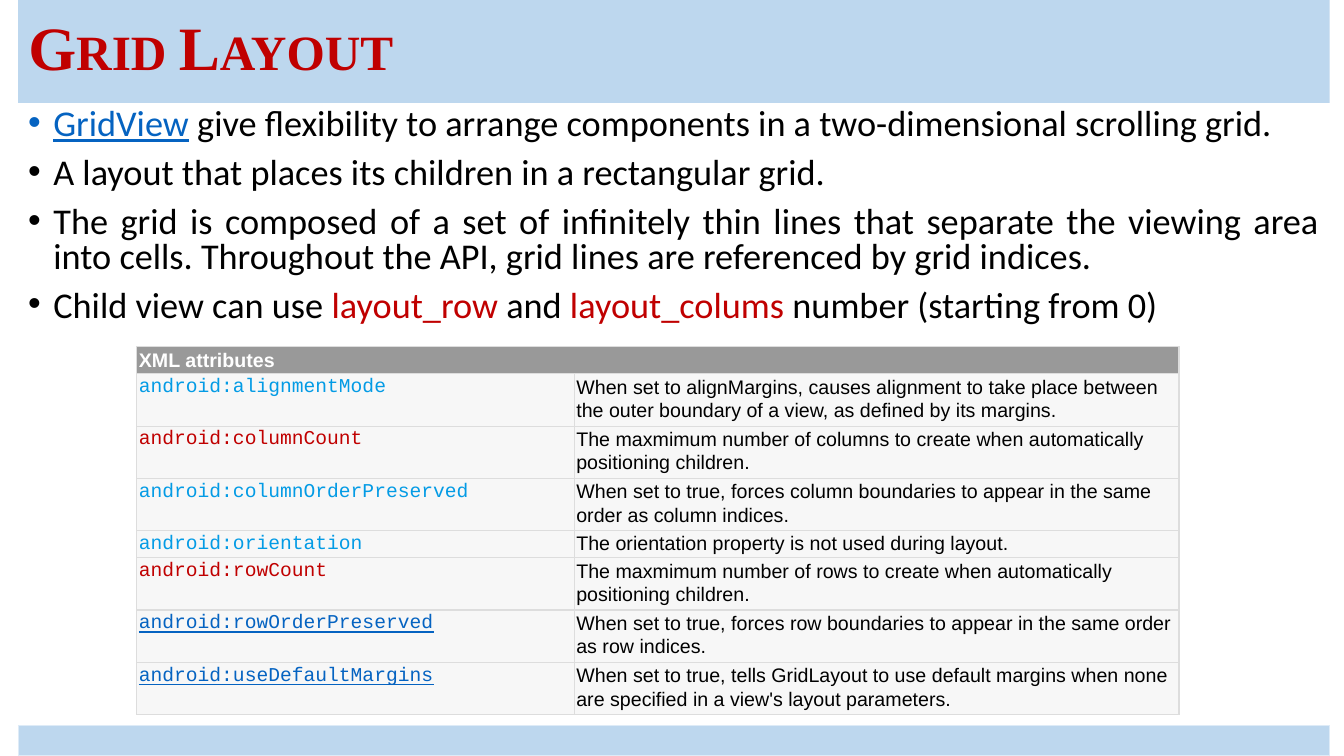
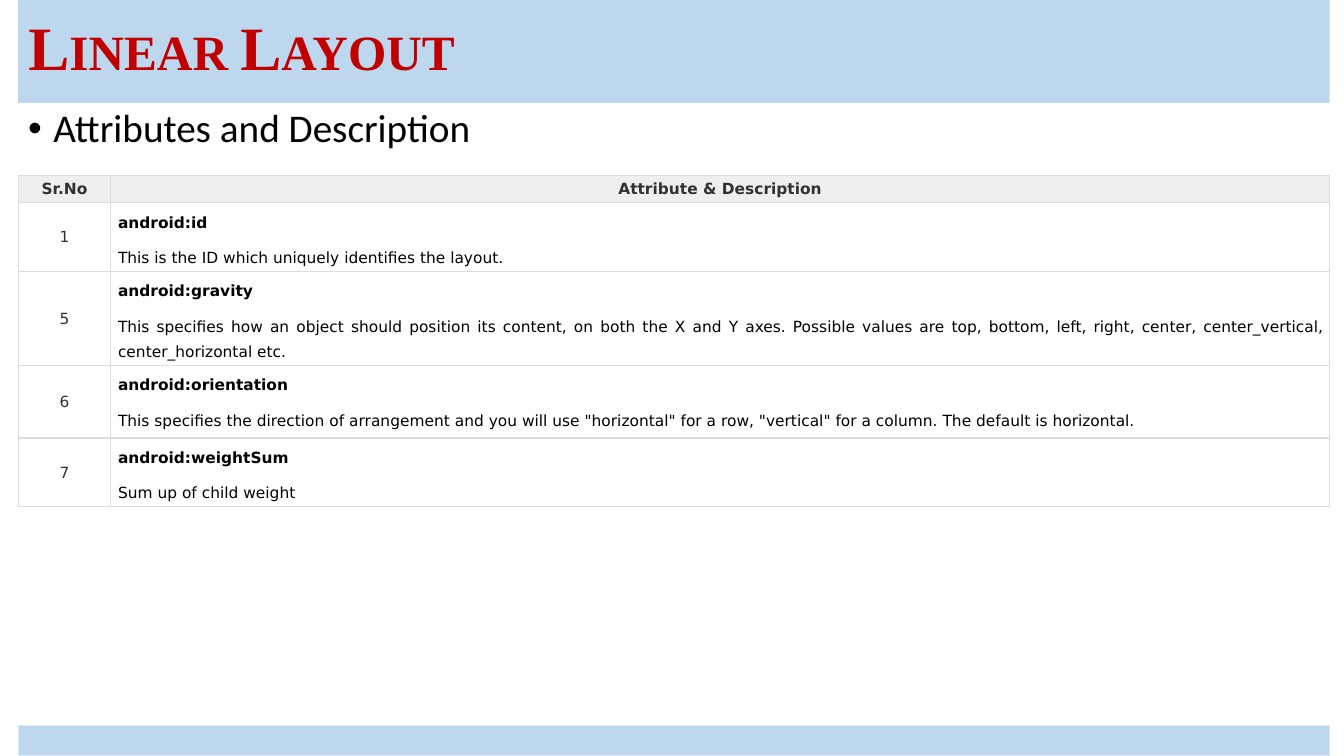
"""Build two slides on grid and linear layouts, each with a bullet list and a table."""
from dataclasses import dataclass
from typing import Any, Optional, Sequence, Union

import lxml.etree
import pptx
import pptx.dml.color
import pptx.enum.shapes
import pptx.enum.text
import pptx.oxml.ns
import pptx.util

Pt = pptx.util.Pt
ALIGN = pptx.enum.text.PP_ALIGN
ANCHOR = pptx.enum.text.MSO_ANCHOR

BAND, BAND_EDGE, BORDER = "BDD7EE", "DEEBF7", "DDDDDD"
RED, LINK, SKY = "C00000", "0563C1", "039BE5"
BLACK, WHITE, DARK = "000000", "FFFFFF", "313131"
GREY, PALE, LIGHT = "999999", "F7F7F7", "EEEEEE"
LEFT, WIDTH = 13, 936.7
TITLE_TOP, TITLE_H = -0.7, 74.2
FOOT_TOP, FOOT_H = 518.4, 21.6


@dataclass(frozen=True)
class Run:
    """A stretch of text with its own look."""
    text: str
    color: str = BLACK
    bold: bool = False
    underline: bool = False


@dataclass(frozen=True)
class GridAttribute:
    """One row of the grid layout table."""
    name: str
    color: str
    description: str
    height: float = 34.5


@dataclass(frozen=True)
class LinearAttribute:
    """One row of the linear layout table."""
    number: str
    name: str
    description: str
    height: float


BULLETS = [
    [Run("GridView", LINK, underline=True),
     Run(" give flexibility to arrange components in a two-dimensional scrolling grid.")],
    [Run("A layout that places its children in a rectangular grid.")],
    [Run("The grid is composed of a set of infinitely thin lines that separate the viewing area "
         "into cells. Throughout the API, grid lines are referenced by grid indices.")],
    [Run("Child view can use "), Run("layout_row ", RED), Run("and "),
     Run("layout_colums ", RED), Run("number (starting from 0)")],
]

GRID_ROWS = [
    GridAttribute("android:alignmentMode", SKY,
                  "When set to alignMargins, causes alignment to take place between "
                  "the outer boundary of a view, as defined by its margins."),
    GridAttribute("android:columnCount", RED,
                  "The maxmimum number of columns to create when automatically "
                  "positioning children."),
    GridAttribute("android:columnOrderPreserved", SKY,
                  "When set to true, forces column boundaries to appear in the same "
                  "order as column indices."),
    GridAttribute("android:orientation", SKY,
                  "The orientation property is not used during layout.", 17.5),
    GridAttribute("android:rowCount", RED,
                  "The maxmimum number of rows to create when automatically "
                  "positioning children."),
    GridAttribute("android:rowOrderPreserved", LINK,
                  "When set to true, forces row boundaries to appear in the same order "
                  "as row indices."),
    GridAttribute("android:useDefaultMargins", LINK,
                  "When set to true, tells GridLayout to use default margins when none "
                  "are specified in a view's layout parameters."),
]

LINEAR_ROWS = [
    LinearAttribute("1", "android:id",
                    "This is the ID which uniquely identifies the layout.", 49),
    LinearAttribute("5", "android:gravity",
                    "This specifies how an object should position its content, on both the X and Y "
                    "axes. Possible values are top, bottom, left, right, center, center_vertical, "
                    "center_horizontal etc.", 67),
    LinearAttribute("6", "android:orientation",
                    'This specifies the direction of arrangement and you will use "horizontal" for '
                    'a row, "vertical" for a column. The default is horizontal.', 52),
    LinearAttribute("7", "android:weightSum", "Sum up of child weight", 49),
]


def rgb(color: str) -> pptx.dml.color.RGBColor:
    """Turn a hex string into a colour."""
    return pptx.dml.color.RGBColor.from_string(color)


def paint(fill: Any, color: Optional[str]) -> None:
    """Fill with a solid colour, or with nothing."""
    if color is None:
        fill.background()
    else:
        fill.solid()
        fill.fore_color.rgb = rgb(color)


def add_text(tf: Any, paragraphs: Sequence[Sequence[Run]], *, font: str, size: float,
             align: Any = ALIGN.LEFT, line: Union[float, pptx.util.Length] = 1.07,
             gap: float = 0, indent: float = 0, bullet: str = "",
             small_caps: bool = False) -> None:
    """Write paragraphs of runs into a text frame with one format."""
    for i, runs in enumerate(paragraphs):
        p = tf.add_paragraph() if i else tf.paragraphs[0]
        pPr = p._p.get_or_add_pPr()
        pPr.set("marL", str(Pt(indent)))
        pPr.set("indent", str(-Pt(indent) if bullet else 0))
        if bullet:
            for tag, key, value in (("a:buFont", "typeface", "Arial"),
                                    ("a:buChar", "char", bullet)):
                lxml.etree.SubElement(pPr, pptx.oxml.ns.qn(tag)).set(key, value)
        p.alignment = align
        p.line_spacing = line
        p.space_before = Pt(gap if i else 0)
        p.space_after = Pt(0)
        for run in runs:
            r = p.add_run()
            r.text = run.text
            r.font.name = font
            r.font.size = Pt(size)
            r.font.bold = run.bold
            r.font.underline = run.underline
            r.font.color.rgb = rgb(run.color)
            if small_caps:
                r._r.get_or_add_rPr().set("cap", "small")


def add_slide(prs: Any, title: str) -> Any:
    """Add a slide with the title band and the footer band."""
    s = prs.slides.add_slide(prs.slide_layouts[5])
    sp = s.shapes.title
    sp.left, sp.top, sp.width, sp.height = Pt(LEFT), Pt(TITLE_TOP), Pt(WIDTH), Pt(TITLE_H)
    paint(sp.fill, BAND)
    tf = sp.text_frame
    tf.auto_size = pptx.enum.text.MSO_AUTO_SIZE.NONE
    tf.vertical_anchor = ANCHOR.MIDDLE
    add_text(tf, [[Run(title, RED, bold=True)]], font="Times New Roman", size=44, line=0.9,
             small_caps=True)
    foot = s.shapes.add_shape(pptx.enum.shapes.MSO_SHAPE.RECTANGLE,
                              Pt(LEFT), Pt(FOOT_TOP), Pt(WIDTH), Pt(FOOT_H))
    foot.shadow.inherit = False
    paint(foot.fill, BAND)
    foot.line.color.rgb = rgb(BAND_EDGE)
    foot.line.width = Pt(1)
    return s


def add_bullets(s: Any, paragraphs: Sequence[Sequence[Run]], height: float, size: float,
                line: float) -> None:
    """Add the bullet list under the title band."""
    tf = s.shapes.add_textbox(Pt(LEFT), Pt(74.2), Pt(WIDTH), Pt(height)).text_frame
    tf.word_wrap = True
    add_text(tf, paragraphs, font="Calibri", size=size, align=ALIGN.JUSTIFY, line=line,
             gap=10, indent=18, bullet="•")


def add_table(s: Any, left: float, top: float, cols: Sequence[float],
              rows: Sequence[float]) -> Any:
    """Add an unstyled table with the given column widths and row heights."""
    table = s.shapes.add_table(len(rows), len(cols), Pt(left), Pt(top),
                               Pt(sum(cols)), Pt(sum(rows))).table
    table.first_row = table.horz_banding = False
    for col, width in zip(table.columns, cols):
        col.width = Pt(width)
    for row, height in zip(table.rows, rows):
        row.height = Pt(height)
    return table


def style_cell(cell: Any, fill: Optional[str], inset_x: float, inset_y: float,
               anchor: Any = ANCHOR.TOP) -> None:
    """Set fill, margins, anchor and borders of a cell."""
    paint(cell.fill, fill)
    cell.margin_left = cell.margin_right = Pt(inset_x)
    cell.margin_top = cell.margin_bottom = Pt(inset_y)
    cell.vertical_anchor = anchor
    tcPr = cell._tc.get_or_add_tcPr()
    for i, side in enumerate("LRTB"):
        ln = lxml.etree.Element(pptx.oxml.ns.qn(f"a:ln{side}"), w=str(Pt(1)))
        solid = lxml.etree.SubElement(ln, pptx.oxml.ns.qn("a:solidFill"))
        lxml.etree.SubElement(solid, pptx.oxml.ns.qn("a:srgbClr"), val=BORDER)
        tcPr.insert(i, ln)


def build_grid_slide(prs: Any) -> None:
    """Build the grid layout slide."""
    s = add_slide(prs, "Grid Layout")
    add_bullets(s, BULLETS, 175.7, 25.9, 0.8)
    table = add_table(s, 97.7, 247.7, [312.5, 432], [17.5] + [a.height for a in GRID_ROWS])
    for i, row in enumerate(table.rows):
        for cell in row.cells:
            style_cell(cell, PALE if i else GREY, 1.5, 0.7)
    table.cell(0, 0).merge(table.cell(0, 1))
    add_text(table.cell(0, 0).text_frame, [[Run("XML attributes", WHITE, bold=True)]],
             font="Arial", size=14)
    for i, a in enumerate(GRID_ROWS, 1):
        name = Run(a.name, a.color, underline=a.color == LINK)
        add_text(table.cell(i, 0).text_frame, [[name]], font="Courier New", size=14)
        add_text(table.cell(i, 1).text_frame, [[Run(a.description)]], font="Arial", size=14)


def build_linear_slide(prs: Any) -> None:
    """Build the linear layout slide."""
    s = add_slide(prs, "Linear Layout")
    table = add_table(s, LEFT, 125.3, [66.2, 870.5], [19.3] + [a.height for a in LINEAR_ROWS])
    for col, head in enumerate(("Sr.No", "Attribute & Description")):
        cell = table.cell(0, col)
        style_cell(cell, LIGHT, 2.9, 2.9)
        add_text(cell.text_frame, [[Run(head, DARK, bold=True)]], font="DejaVu Sans", size=11,
                 align=ALIGN.CENTER)
    for i, a in enumerate(LINEAR_ROWS, 1):
        number, detail = table.cell(i, 0), table.cell(i, 1)
        style_cell(number, None, 2.9, 2.9, ANCHOR.MIDDLE)
        style_cell(detail, None, 2.9, 2.9)
        add_text(number.text_frame, [[Run(a.number, DARK)]], font="DejaVu Sans", size=11,
                 align=ALIGN.CENTER)
        add_text(detail.text_frame, [[Run(a.name, bold=True)], [Run(a.description)]],
                 font="DejaVu Sans", size=11, align=ALIGN.JUSTIFY, line=Pt(18), gap=7.2,
                 indent=2.2)
    add_bullets(s, [[Run("Attributes and Description")]], 51.1, 28, 0.9)


def main() -> None:
    """Build and save the presentation."""
    prs = pptx.Presentation()
    prs.slide_width, prs.slide_height = Pt(960), Pt(540)
    build_grid_slide(prs)
    build_linear_slide(prs)
    prs.save("out.pptx")


if __name__ == "__main__":
    main()
